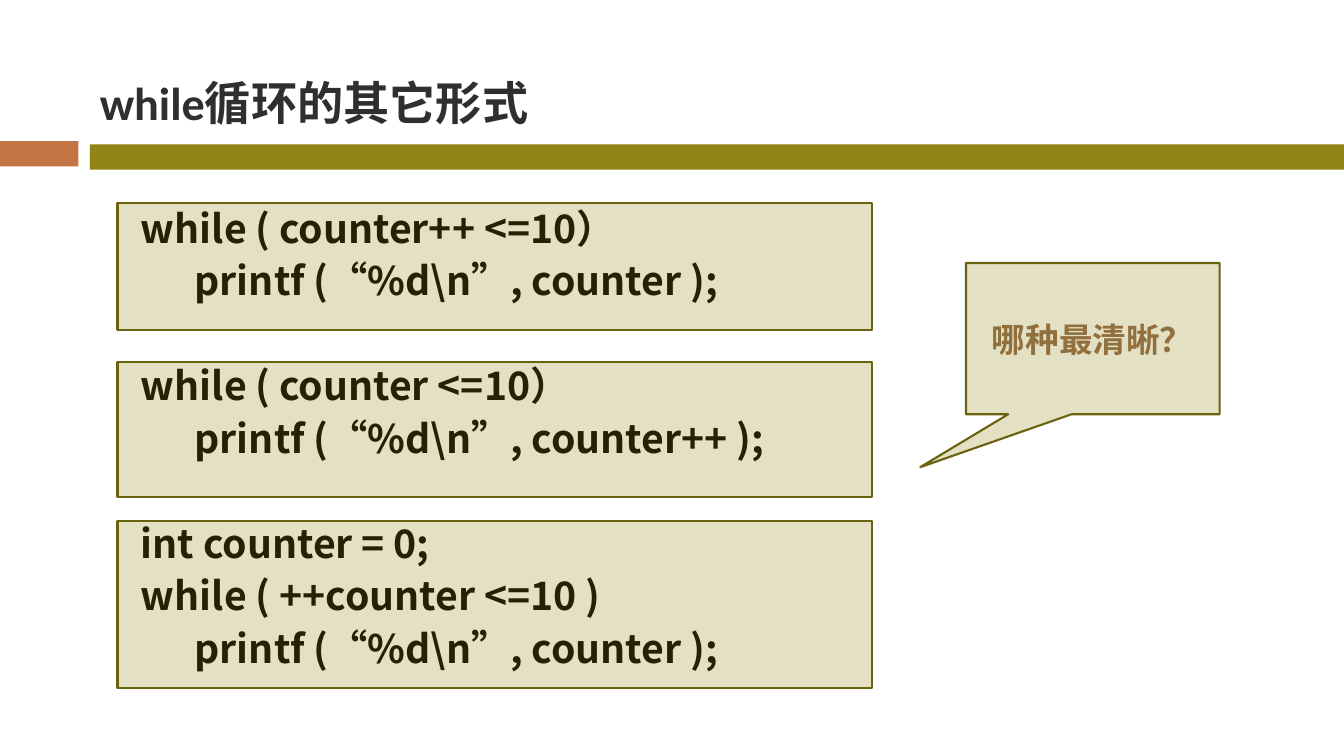
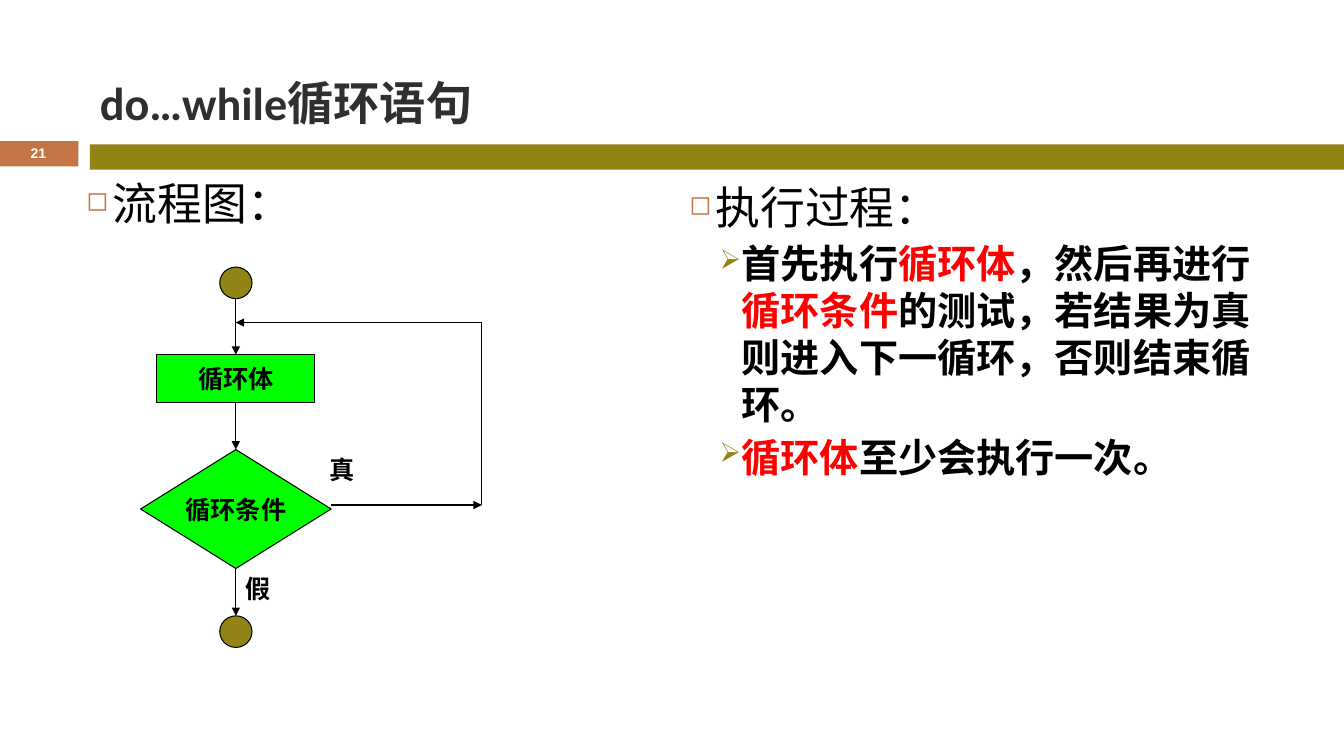
from lxml.etree import SubElement
from pptx import Presentation
from pptx.dml.color import RGBColor
from pptx.enum.shapes import MSO_CONNECTOR, MSO_SHAPE
from pptx.enum.text import MSO_ANCHOR, PP_ALIGN
from pptx.oxml import parse_xml
from pptx.oxml.ns import nsdecls, qn
from pptx.util import Emu, Pt

OLIVE = RGBColor(0x91, 0x84, 0x15)
DARK_OLIVE = RGBColor(0x6B, 0x62, 0x10)
ORANGE = RGBColor(0xC4, 0x75, 0x46)
BROWN = RGBColor(0x91, 0x70, 0x3E)
CHARCOAL = RGBColor(0x2F, 0x2F, 0x2F)
BLACK = RGBColor(0, 0, 0)
WHITE = RGBColor(0xFF, 0xFF, 0xFF)
RED = RGBColor(0xFF, 0, 0)
GREEN = RGBColor(0, 0xFF, 0)
CHINESE_FONT = "Noto Sans CJK SC"

# The slide is a grid of 80 columns by 45 rows of square cells.
CELL = 152400
deck = Presentation()
deck.slide_width, deck.slide_height = Emu(80 * CELL), Emu(45 * CELL)


def add_box(page, kind, cells, fill=None, line=None, line_width=0.75, opacity=100):
    """Add a shape, or a text box if kind is None; cells is left, top, width, height."""
    frame = [Emu(round(value * CELL)) for value in cells]
    if kind is None:
        return page.shapes.add_textbox(*frame)
    box = page.shapes.add_shape(kind, *frame)
    box.shadow.inherit = False
    box.fill.solid()
    box.fill.fore_color.rgb = fill
    if opacity < 100:
        color = box.fill._xPr.find(qn("a:solidFill"))[0]
        SubElement(color, qn("a:alpha"), val=str(opacity * 1000))
    if line is None:
        box.line.fill.background()
    else:
        box.line.color.rgb = line
        box.line.width = Pt(line_width)
    return box


def write(box, texts, size, face, color=BLACK, bold=True, align=PP_ALIGN.LEFT,
          anchor=MSO_ANCHOR.TOP, wrap=True):
    """Write one paragraph per text; parts between asterisks are red."""
    frame = box.text_frame
    frame.word_wrap = wrap
    frame.vertical_anchor = anchor
    for index, text in enumerate(texts):
        para = frame.add_paragraph() if index else frame.paragraphs[0]
        para.alignment = align
        font = para.font
        font.size, font.name, font.bold = Pt(size), face, bold
        font.color.rgb = color
        SubElement(font._element, qn("a:ea"), typeface=CHINESE_FONT)
        for part, words in enumerate(text.split("*")):
            if words:
                span = para.add_run()
                span.text = words
                if part % 2:
                    span.font.color.rgb = RED
    return frame.paragraphs


# Title and bands of both slides
pages = []
for title in ["while循环的其它形式", "do…while循环语句"]:
    page = deck.slides.add_slide(deck.slide_layouts[6])
    add_box(page, MSO_SHAPE.RECTANGLE, (0, 8.4, 4.66, 1.5), ORANGE)
    add_box(page, MSO_SHAPE.RECTANGLE, (5.35, 8.6, 74.65, 1.5), OLIVE)
    write(add_box(page, None, (5.35, 1.5, 71.35, 6.5)), [title], 33, "Calibri",
          CHARCOAL, anchor=MSO_ANCHOR.BOTTOM)
    pages.append(page)
forms_page, flow_page = pages

# Slide 1: three ways to write the loop, under tinted panels
loop_forms = [
    (7.56, ["while ( counter++ <=10）", "printf (“%d\\n”, counter );"]),
    (8.04, ["while ( counter <=10）", "printf (“%d\\n”, counter++ );"]),
    (9.96, ["int counter = 0;", "while ( ++counter <=10 )", "printf (“%d\\n”, counter );"]),
]
code_lines = [line for height, lines in loop_forms for line in lines]
form_starts = [lines[0] for height, lines in loop_forms[1:]]
code = add_box(forms_page, None, (6, 11.88, 71.35, 29.5))
for para in write(code, code_lines, 28, CHINESE_FONT):
    indent = 5 if para.text.startswith("printf") else 1.8
    para._p.get_or_add_pPr().set("marL", str(round(indent * CELL)))
    para.line_spacing = Pt(33.3)
    para.space_before = Pt(41.7 if para.text in form_starts else 4.2)

for index, (height, lines) in enumerate(loop_forms):
    add_box(forms_page, MSO_SHAPE.RECTANGLE, (7, 12.1 + 9.45 * index, 44.9, height),
            OLIVE, DARK_OLIVE, 1.5, 25)

callout = add_box(forms_page, MSO_SHAPE.RECTANGULAR_CALLOUT, (57.5, 15.66, 15.1, 9),
                  OLIVE, DARK_OLIVE, 1.5, 25)
callout.adjustments[0], callout.adjustments[1] = -0.68, 0.85
write(callout, ["哪种最清晰？"], 24, "Calibri", BROWN, align=PP_ALIGN.CENTER,
      anchor=MSO_ANCHOR.MIDDLE)

# Slide 2: page number and bulleted text
write(add_box(flow_page, None, (0, 8.28, 4.56, 1.62)), ["21"], 10, "Arial", WHITE,
      align=PP_ALIGN.CENTER, anchor=MSO_ANCHOR.MIDDLE)

steps = ["首先执行*循环体*，然后再进行*循环条件*的测试，若结果为真则进入下一循环，否则结束循环。",
         "*循环体*至少会执行一次。"]
HEADING = (32, False, 38, 5.2, 1.56, 1.56, "◻", ORANGE, 60)
STEP = (28, True, 33.5, 4.2, 3.12, 1.32, "➢", OLIVE, 70)
for cells, texts in [((40.44, 10.44, 36.24, 20.6), ["执行过程："] + steps),
                     ((4.56, 10.2, 36.24, 6.36), ["流程图："])]:
    box = add_box(flow_page, None, cells)
    for index, para in enumerate(write(box, texts, 32, CHINESE_FONT)):
        size, bold, spacing, before, margin, hanging, mark, color, share = (
            STEP if index else HEADING)
        para.font.size, para.font.bold = Pt(size), bold
        para.line_spacing, para.space_before = Pt(spacing), Pt(before)
        properties = para._p.get_or_add_pPr()
        properties.set("marL", str(round(margin * CELL)))
        properties.set("indent", str(round(-hanging * CELL)))
        for bullet in [f'<a:buClr {nsdecls("a")}><a:srgbClr val="{color}"/></a:buClr>',
                       f'<a:buSzPct {nsdecls("a")} val="{share * 1000}"/>',
                       f'<a:buChar {nsdecls("a")} char="{mark}"/>']:
            properties.find(qn("a:defRPr")).addprevious(parse_xml(bullet))

# Flowchart: nodes stacked on one axis, each with the gap above it
AXIS = 14.04
nodes = []
bottom = 15.9
for kind, text, gap, width, height, fill in [
    (MSO_SHAPE.FLOWCHART_CONNECTOR, "", 0, 1.92, 1.88, OLIVE),
    (MSO_SHAPE.FLOWCHART_PROCESS, "循环体", 3.34, 9.42, 2.82, GREEN),
    (MSO_SHAPE.FLOWCHART_DECISION, "循环条件", 2.82, 11.34, 7.08, GREEN),
    (MSO_SHAPE.FLOWCHART_CONNECTOR, "", 2.82, 1.92, 1.88, OLIVE),
]:
    top = bottom + gap
    bottom = top + height
    node = add_box(flow_page, kind, (AXIS - width / 2, top, width, height), fill, BLACK)
    if text:
        write(node, [text], 18, "Arial", align=PP_ALIGN.CENTER,
              anchor=MSO_ANCHOR.MIDDLE, wrap=False)
    nodes.append(node)
start, body, condition, end = nodes

for text, cells, align in [("真", (18.24, 26.76, 4.26, 2.4), PP_ALIGN.CENTER),
                           ("假", (AXIS, 33.84, 3.3, 2.4), PP_ALIGN.LEFT)]:
    write(add_box(flow_page, None, cells), [text], 18, "Arial", align=align)

LOOP_RIGHT, LOOP_TOP, LOOP_BOTTOM = 28.68, 19.2, 30.06
for points, source, target, arrow in [
    ((AXIS, 17.78, AXIS, 21.12), None, body, True),
    ((AXIS, 23.94, AXIS, 26.76), body, condition, True),
    ((AXIS, 33.84, AXIS, 36.66), condition, end, True),
    ((19.7, LOOP_BOTTOM, LOOP_RIGHT, LOOP_BOTTOM), None, None, True),
    ((LOOP_RIGHT, LOOP_TOP, LOOP_RIGHT, LOOP_BOTTOM), None, None, False),
    ((LOOP_RIGHT, LOOP_TOP, AXIS, LOOP_TOP), None, None, True),
]:
    line = flow_page.shapes.add_connector(
        MSO_CONNECTOR.STRAIGHT, *[Emu(round(value * CELL)) for value in points])
    if source:
        line.begin_connect(source, 2)
    if target:
        line.end_connect(target, 0)
    line.line.color.rgb = BLACK
    line.line.width = Pt(0.75)
    if arrow:
        SubElement(line.line._get_or_add_ln(), qn("a:tailEnd"), type="triangle")
    SubElement(line._element.spPr, qn("a:effectLst"))

deck.save("out.pptx")
